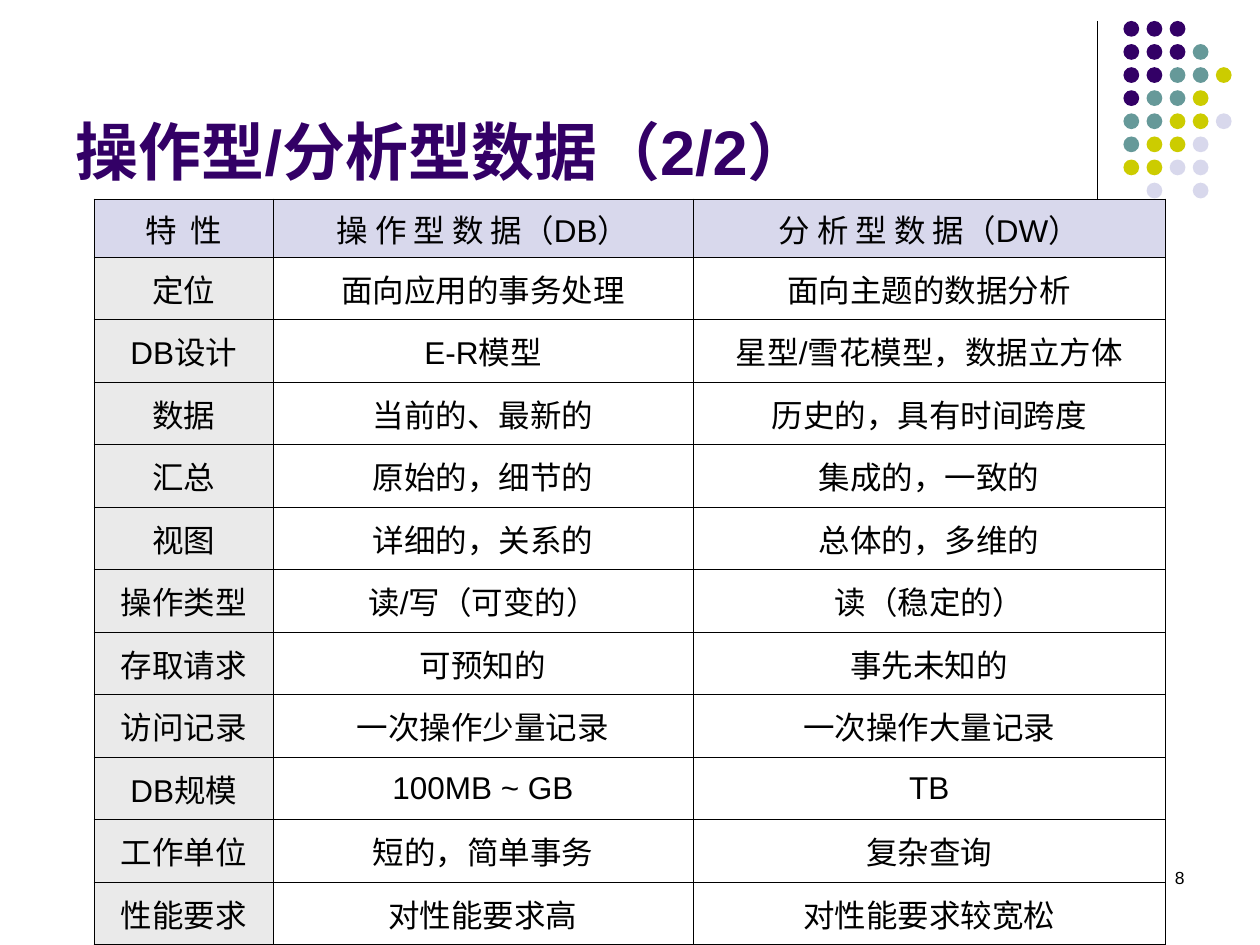
from lxml import etree
from pptx import Presentation
from pptx import util as u
from pptx.dml.color import RGBColor
from pptx.enum import shapes, text
from pptx.oxml.ns import qn

COLORS = {
    "black": "000000",
    "purple": "330066",
    "teal": "669999",
    "olive": "CCCC00",
    "lavender": "D8D8EC",
    "gray": "EAEAEA",
}
DOT_COLORS = {"P": "purple", "T": "teal", "O": "olive", "L": "lavender"}
DOT_ROWS = ["PPP", "PPPT", "PPTTO", "PTTO", "TTOOL", "TOOL", "OOLL", " L L"]
COMPARISON = [
    ("特  性", "操 作 型 数 据（DB）", "分 析 型 数 据（DW）"),
    ("定位", "面向应用的事务处理", "面向主题的数据分析"),
    ("DB设计", "E-R模型", "星型/雪花模型，数据立方体"),
    ("数据", "当前的、最新的", "历史的，具有时间跨度"),
    ("汇总", "原始的，细节的", "集成的，一致的"),
    ("视图", "详细的，关系的", "总体的，多维的"),
    ("操作类型", "读/写（可变的）", "读（稳定的）"),
    ("存取请求", "可预知的", "事先未知的"),
    ("访问记录", "一次操作少量记录", "一次操作大量记录"),
    ("DB规模", "100MB ~ GB", "TB"),
    ("工作单位", "短的，简单事务", "复杂查询"),
    ("性能要求", "对性能要求高", "对性能要求较宽松"),
]


class GridSlide:
    font = "Arial"
    columns, rows = 120, 90
    outer, inner = 1.08, 0.45

    def __init__(self, deck):
        self.cell_w = deck.slide_width / self.columns
        self.cell_h = deck.slide_height / self.rows
        self.slide = deck.slides.add_slide(deck.slide_layouts[5])

    def x(self, columns):
        return u.Emu(round(columns * self.cell_w))

    def y(self, rows):
        return u.Emu(round(rows * self.cell_h))

    def box(self, left, top, width, height):
        return self.x(left), self.y(top), self.x(width), self.y(height)

    def color(self, name):
        return RGBColor.from_string(COLORS[name])

    def set_text(self, frame, words, size, align, color="black", bold=False):
        frame.text = words
        line = frame.paragraphs[0]
        line.alignment = align
        line.font.name = self.font
        line.font.size = u.Pt(size)
        line.font.bold = bold
        line.font.color.rgb = self.color(color)
        return line

    def title(self, words, *place):
        heading = self.slide.shapes.title
        heading.left, heading.top, heading.width, heading.height = self.box(*place)
        heading.text_frame.vertical_anchor = text.MSO_ANCHOR.BOTTOM
        self.set_text(heading.text_frame, words, 36, text.PP_ALIGN.LEFT, "purple", True)

    def page_number(self, number, *place):
        frame = self.slide.shapes.add_textbox(*self.box(*place)).text_frame
        frame.word_wrap = True
        self.set_text(frame, number, 10, text.PP_ALIGN.RIGHT)

    def rule(self, column, top, bottom):
        rule = self.slide.shapes.add_connector(
            shapes.MSO_CONNECTOR.STRAIGHT,
            self.x(column), self.y(top), self.x(column), self.y(bottom))
        rule.line.color.rgb = self.color("black")
        rule.line.width = u.Pt(0.75)
        etree.SubElement(rule.element.spPr, qn("a:effectLst"))

    def dots(self, pattern, left, top, step, size):
        for row, letters in enumerate(pattern):
            for column, letter in enumerate(letters):
                if letter == " ":
                    continue
                dot = self.slide.shapes.add_shape(
                    shapes.MSO_SHAPE.OVAL,
                    *self.box(left + column * step, top + row * step, size, size))
                dot.shadow.inherit = False
                dot.fill.solid()
                dot.fill.fore_color.rgb = self.color(DOT_COLORS[letter])
                dot.line.fill.background()

    def borders(self, cell, widths):
        properties = cell._tc.get_or_add_tcPr()
        for side, width in zip("LRTB", widths):
            edge = etree.SubElement(properties, qn(f"a:ln{side}"), w=str(u.Pt(width)))
            fill = etree.SubElement(edge, qn("a:solidFill"))
            etree.SubElement(fill, qn("a:srgbClr"), val=COLORS["black"])

    def table(self, records, left, top, widths, header_height, height):
        table = self.slide.shapes.add_table(
            len(records), len(widths),
            *self.box(left, top, sum(widths), height)).table
        table.first_row = table.horz_banding = False
        for column, width in zip(table.columns, widths):
            column.width = self.x(width)
        body_height = (height - header_height) / (len(records) - 1)
        last_row, last_column = len(records) - 1, len(widths) - 1
        for r, record in enumerate(records):
            table.rows[r].height = self.y(body_height if r else header_height)
            for c, words in enumerate(record):
                cell = table.cell(r, c)
                cell.vertical_anchor = text.MSO_ANCHOR.MIDDLE
                line = self.set_text(cell.text_frame, words, 18, text.PP_ALIGN.CENTER)
                line.space_before = u.Pt(4.5)
                on_edge = (c == 0, c == last_column, r == 0, r == last_row)
                self.borders(cell, [self.outer if edge else self.inner for edge in on_edge])
                if r and c:
                    cell.fill.background()
                else:
                    cell.fill.solid()
                    cell.fill.fore_color.rgb = self.color("gray" if r else "lavender")


def main():
    deck = Presentation()
    deck.slide_width, deck.slide_height = u.Inches(10), u.Inches(7.5)
    page = GridSlide(deck)
    page.rule(104.5, 2, 22)
    page.dots(DOT_ROWS, left=107, top=2, step=2.2, size=1.5)
    page.title("操作型/分析型数据（2/2）", 6, 1.5, 99, 17)
    page.page_number("8", 86, 82, 28, 6)
    page.table(COMPARISON, left=9, top=19, widths=(17, 40, 45), header_height=5.5, height=71)
    deck.save("out.pptx")


if __name__ == "__main__":
    main()
